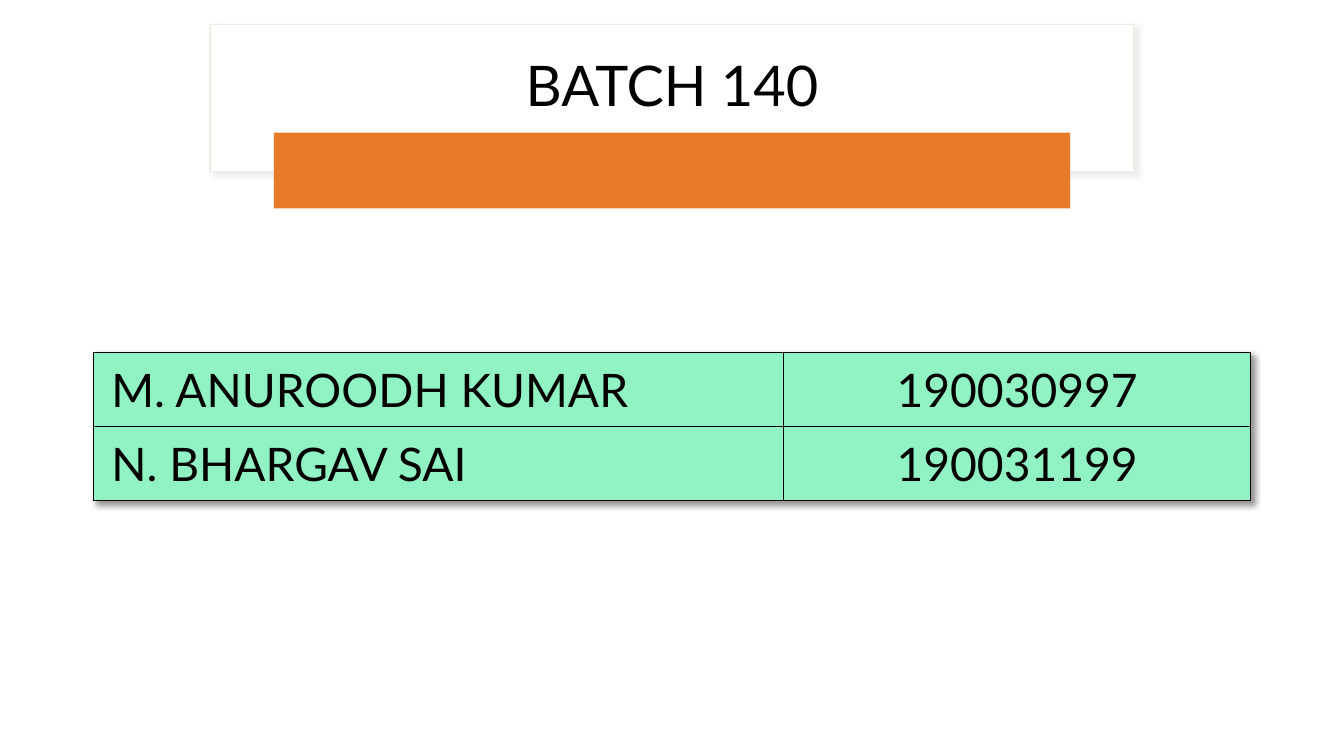
"""Build the batch slide: a framed title with an accent bar above a table of members."""
from dataclasses import dataclass
from typing import Any, Optional

from lxml.etree import SubElement
from pptx import Presentation
from pptx.dml.color import RGBColor
from pptx.enum.shapes import MSO_SHAPE as Preset
from pptx.enum.text import MSO_ANCHOR as Anchor, PP_ALIGN as Align
from pptx.oxml import parse_xml
from pptx.oxml.ns import nsdecls, qn
from pptx.util import Emu, Inches, Pt

SLIDE_WIDTH, SLIDE_HEIGHT = Inches(13.333), Inches(7.5)
COLUMNS, ROWS = 160, 90


@dataclass(frozen=True)
class Theme:
    font: str = "Lato"
    ink: str = "000000"
    paper: str = "FFFFFF"
    frame_line: str = "F0EEE4"
    frame_shadow: str = "BCC3CA"
    accent: str = "E77B29"
    mint: str = "91F3C4"
    title_size: int = 40
    member_size: int = 33


@dataclass(frozen=True)
class Area:
    left: float
    top: float
    width: float
    height: float

    def box(self) -> tuple[Emu, Emu, Emu, Emu]:
        return across(self.left), down(self.top), across(self.width), down(self.height)


@dataclass(frozen=True)
class Panel:
    area: Area
    fill: str
    preset: Preset = Preset.RECTANGLE
    line: Optional[str] = None
    shadow: Optional[str] = None


@dataclass(frozen=True)
class Member:
    name: str
    number: str


THEME = Theme()
PANELS = (
    Panel(Area(0, 0, COLUMNS, ROWS), THEME.paper),
    Panel(Area(25, 2.9, 110, 17.5), THEME.paper,
          line=THEME.frame_line, shadow=THEME.frame_shadow),
    Panel(Area(32.6, 15.8, 94.8, 9), THEME.accent, Preset.ROUNDED_RECTANGLE),
)
TITLE_AREA = Area(27.6, 4.1, 104.8, 12.8)
MEMBERS = (
    Member("M. ANUROODH KUMAR", "190030997"),
    Member("N. BHARGAV SAI", "190031199"),
)
MEMBER_COLUMNS = (82.2, 55.6)
MEMBER_ROW = 8.82
MEMBER_AREA = Area(11.1, 42, sum(MEMBER_COLUMNS), MEMBER_ROW * len(MEMBERS))
CELL_FORMAT = {
    "margin_left": Inches(0.18), "margin_right": Inches(0.18),
    "margin_top": Inches(0.09), "margin_bottom": Inches(0.09),
}


def across(columns: float) -> Emu:
    return Emu(round(SLIDE_WIDTH * columns / COLUMNS))


def down(rows: float) -> Emu:
    return Emu(round(SLIDE_HEIGHT * rows / ROWS))


def apply_format(target: Any, values: dict[str, Any]) -> None:
    for attribute, value in values.items():
        setattr(target, attribute, value)


def paint(fill: Any, colour: str) -> None:
    fill.solid()
    fill.fore_color.rgb = RGBColor.from_string(colour)


def shadow_effect(colour: str, opacity: int, blur: float, distance: float) -> Any:
    return parse_xml(
        f'<a:effectLst {nsdecls("a")}><a:outerShdw blurRad="{Pt(blur)}" '
        f'dist="{Pt(distance)}" dir="2700000" algn="tl" rotWithShape="0">'
        f'<a:srgbClr val="{colour}"><a:alpha val="{opacity * 1000}"/></a:srgbClr>'
        '</a:outerShdw></a:effectLst>')


def write(frame: Any, words: str, size: int, layout: dict[str, Any]) -> None:
    paragraph = frame.paragraphs[0]
    apply_format(paragraph, layout)
    run = paragraph.add_run()
    run.text = words
    apply_format(run.font, {"name": THEME.font, "size": Pt(size), "bold": False})
    run.font.color.rgb = RGBColor.from_string(THEME.ink)


def draw_panel(shapes: Any, panel: Panel) -> None:
    block = shapes.add_shape(panel.preset, *panel.area.box())
    block.shadow.inherit = False
    paint(block.fill, panel.fill)
    if panel.preset == Preset.ROUNDED_RECTANGLE:
        block.adjustments[0] = 0
    if panel.line:
        paint(block.line.fill, panel.line)
        block.line.width = Pt(1)
    else:
        block.line.fill.background()
    if panel.shadow:
        properties = block._element.spPr
        properties.replace(properties.find(qn("a:effectLst")),
                           shadow_effect(panel.shadow, 30, 4, 3))


def draw_title(shapes: Any) -> None:
    frame = shapes.add_textbox(*TITLE_AREA.box()).text_frame
    apply_format(frame, {"word_wrap": True, "vertical_anchor": Anchor.MIDDLE})
    write(frame, "BATCH 140", THEME.title_size,
          {"alignment": Align.CENTER, "line_spacing": 0.9, "space_after": Pt(6)})


def outline_cell(cell: Any) -> None:
    properties = cell._tc.get_or_add_tcPr()
    for side in ("a:lnL", "a:lnR", "a:lnT", "a:lnB"):
        edge = SubElement(properties, qn(side), w=str(Pt(1)))
        ink = SubElement(edge, qn("a:solidFill"))
        SubElement(ink, qn("a:srgbClr"), val=THEME.ink)


def draw_members(shapes: Any) -> None:
    members = shapes.add_table(len(MEMBERS), len(MEMBER_COLUMNS), *MEMBER_AREA.box()).table
    apply_format(members, {"first_row": False, "horz_banding": False})
    members._tbl.tblPr.insert(0, shadow_effect(THEME.ink, 40, 4, 3))
    for column, width in zip(members.columns, MEMBER_COLUMNS):
        column.width = across(width)
    for row, member in zip(members.rows, MEMBERS):
        row.height = down(MEMBER_ROW)
        entries = ((member.name, Align.LEFT), (member.number, Align.CENTER))
        for cell, (words, alignment) in zip(row.cells, entries):
            apply_format(cell, CELL_FORMAT)
            outline_cell(cell)
            paint(cell.fill, THEME.mint)
            write(cell.text_frame, words, THEME.member_size, {"alignment": alignment})


def main() -> None:
    deck = Presentation()
    apply_format(deck, {"slide_width": SLIDE_WIDTH, "slide_height": SLIDE_HEIGHT})
    shapes = deck.slides.add_slide(deck.slide_layouts[6]).shapes
    backdrop, title_frame, accent_bar = PANELS
    draw_panel(shapes, backdrop)
    draw_panel(shapes, title_frame)
    draw_title(shapes)
    draw_panel(shapes, accent_bar)
    draw_members(shapes)
    deck.save("out.pptx")


if __name__ == "__main__":
    main()
